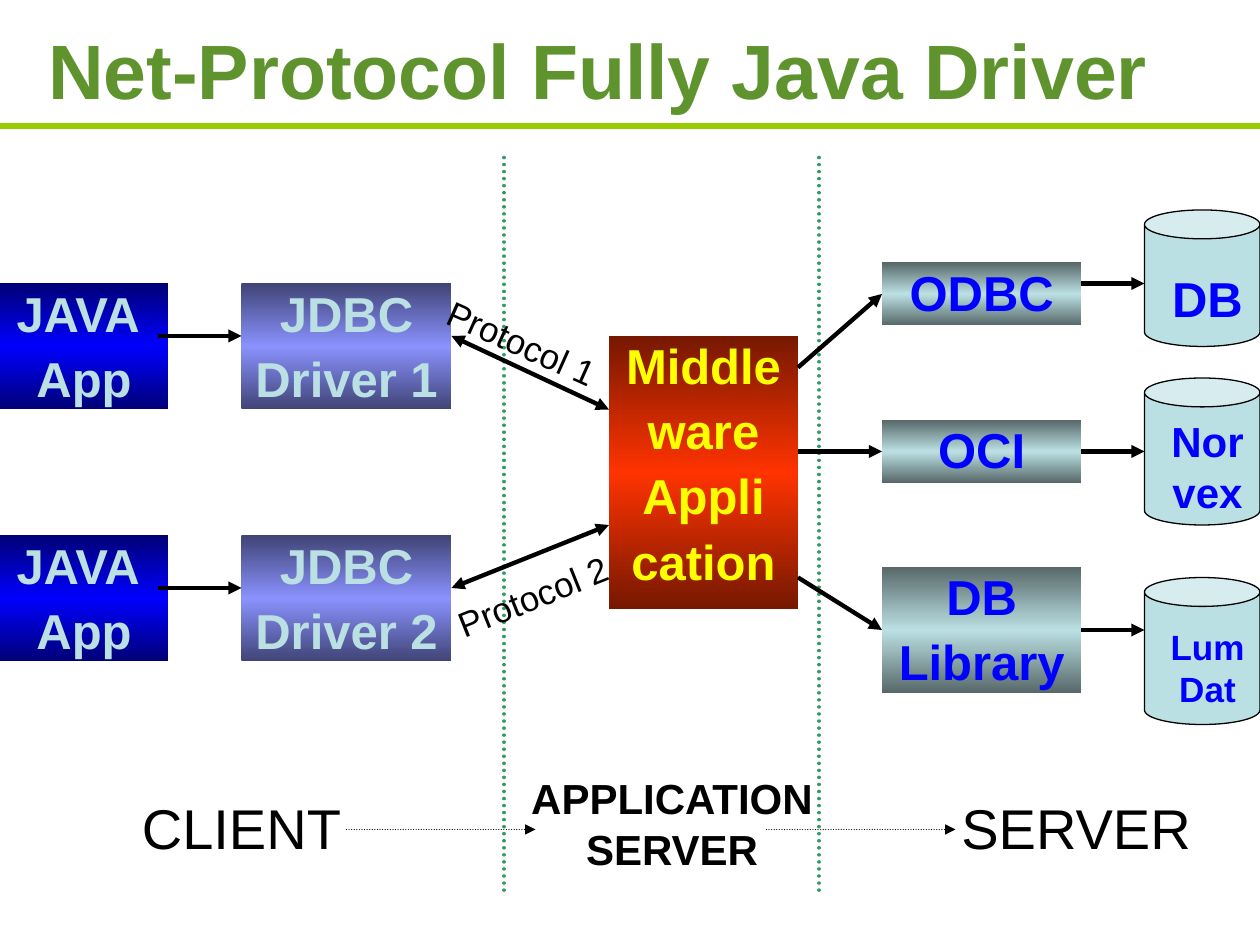
import copy

import pptx
import pptx.dml.color
import pptx.enum.dml
import pptx.enum.shapes
import pptx.enum.text
import pptx.oxml
import pptx.oxml.ns
import pptx.util

Pt = pptx.util.Pt
SHAPE = pptx.enum.shapes.MSO_SHAPE
ALIGN = pptx.enum.text.PP_ALIGN
ANCHOR = pptx.enum.text.MSO_ANCHOR
DOTTED = pptx.enum.dml.MSO_LINE.ROUND_DOT
COLORS = {
    "title": "5E932D", "rule": "99CC00", "divider": "339966", "black": "000000",
    "pale": "BBE0E3", "pale_edge": "576869", "blue": "0000FF", "blue_edge": "000076",
    "violet": "8A92FE", "violet_edge": "404476", "red": "FF3300", "red_edge": "761800",
    "yellow": "FFFF00",
}


def rgb(name):
    return pptx.dml.color.RGBColor.from_string(COLORS[name])


def write_text(shape, text, size=28, color="black", bold=True, align=ALIGN.CENTER,
               anchor=ANCHOR.TOP, line_spacing=None, space_before=0):
    frame = shape.text_frame
    frame.word_wrap = True
    frame.vertical_anchor = anchor
    frame.text = text
    for index, paragraph in enumerate(frame.paragraphs):
        paragraph.alignment = align
        if line_spacing:
            paragraph.line_spacing = line_spacing
        if index:
            paragraph.space_before = Pt(space_before)
        paragraph.font.name = "Arial"
        paragraph.font.size = Pt(size)
        paragraph.font.bold = bold
        paragraph.font.color.rgb = rgb(color)


presentation = pptx.Presentation()
presentation.slide_width, presentation.slide_height = Pt(720), Pt(540)
slide = presentation.slides.add_slide(presentation.slide_layouts[6])
shapes = slide.shapes

# Gradient boxes: text, left, top, width, height, fill, text colour
boxes = [
    ("Middle\nware\nAppli\ncation", 348, 192, 108, 156, "red", "yellow"),
    ("ODBC", 504, 150, 114, 36, "pale", "blue"),
    ("OCI", 504, 240, 114, 36, "pale", "blue"),
    ("DB\nLibrary", 504, 324, 114, 72, "pale", "blue"),
]
for number, top in enumerate((162, 306), start=1):
    boxes.append(("JAVA \nApp", 0, top, 96, 72, "blue", "pale"))
    boxes.append((f"JDBC\nDriver {number}", 138, top, 120, 72, "violet", "pale"))
for text, left, top, width, height, fill, color in boxes:
    box = shapes.add_shape(SHAPE.RECTANGLE, Pt(left), Pt(top), Pt(width), Pt(height))
    box.shadow.inherit = False
    box.line.fill.background()
    box.fill.gradient()
    box.fill.gradient_angle = 90
    stop_list = next(box._element.iter(pptx.oxml.ns.qn("a:gsLst")))
    stop_list.append(copy.deepcopy(stop_list[0]))
    for position, stop in zip((0, 0.5, 1), box.fill.gradient_stops):
        stop.position = position
        stop.color.rgb = rgb(fill if position == 0.5 else fill + "_edge")
    write_text(box, text, color=color, line_spacing=0.9, space_before=7)

# Database cylinders
for top, height in ((120, 78), (216, 84), (330, 84)):
    cylinder = shapes.add_shape(SHAPE.CAN, Pt(654), Pt(top), Pt(66), Pt(height))
    cylinder.shadow.inherit = False
    cylinder.fill.solid()
    cylinder.fill.fore_color.rgb = rgb("pale")
    cylinder.line.color.rgb = rgb("black")
    cylinder.line.width = Pt(0.75)

# Lines: start, end, colour, width, dash, arrowheads
lines = [((0, 72), (720, 72), "rule", 3, None, ())]
for x in (288, 468):
    lines.append(((x, 90), (x, 510), "divider", 2, DOTTED, ()))
for y, middleware_y in ((192, 234), (336, 300)):
    lines.append(((90, y), (138, y), "black", 2.5, None, ("tailEnd",)))
    lines.append(((258, y), (348, middleware_y), "black", 2.5, None, ("headEnd", "tailEnd")))
for start_y, library_y, database_y in ((210, 168, 162), (258, 258, 258), (330, 360, 360)):
    lines.append(((456, start_y), (504, library_y), "black", 2.5, None, ("tailEnd",)))
    lines.append(((618, database_y), (654, database_y), "black", 2.5, None, ("tailEnd",)))
for x in (198, 438):
    lines.append(((x, 474), (x + 108, 474), "black", 0.75, DOTTED, ("tailEnd",)))
for start, end, color, width, dash, arrowheads in lines:
    connector = shapes.add_connector(
        pptx.enum.shapes.MSO_CONNECTOR.STRAIGHT, *map(Pt, start + end))
    connector.line.color.rgb = rgb(color)
    connector.line.width = Pt(width)
    properties = connector._element.spPr
    outline = properties.find(pptx.oxml.ns.qn("a:ln"))
    if dash:
        connector.line.dash_style = dash
        outline.set("cap", "rnd")
    for arrowhead in arrowheads:
        outline.append(pptx.oxml.parse_xml(
            f'<a:{arrowhead} {pptx.oxml.ns.nsdecls("a")} type="triangle"/>'))
    properties.append(pptx.oxml.parse_xml(
        f'<a:effectLst {pptx.oxml.ns.nsdecls("a")}/>'))

# Title and labels: text, left, top, width, height, rotation, format
plain = {"bold": False}
protocol = {"size": 20, "bold": False, "align": ALIGN.LEFT}
labels = [
    ("Net-Protocol Fully Java Driver", 0, 0, 684, 78, 0,
     {"size": 44, "color": "title", "anchor": ANCHOR.MIDDLE}),
    ("DB", 660, 150, 60, 41, 0, {"color": "blue"}),
    ("Norvex", 660, 234, 60, 65, 0, {"size": 24, "color": "blue"}),
    ("Lum Dat", 660, 354, 60, 55, 0, {"size": 20, "color": "blue"}),
    ("CLIENT", 72, 450, 132, 46, 0, {"size": 32, **plain}),
    ("SERVER", 540, 450, 150, 46, 0, {"size": 32, **plain}),
    ("APPLICATION SERVER", 288, 438, 192, 65, 0, {"size": 24}),
    ("Protocol 1", 245.5, 182, 113, 32, 24.1, protocol),
    ("Protocol 2", 252, 324, 109.5, 32, 338.1, protocol),
]
for text, left, top, width, height, rotation, text_format in labels:
    label = shapes.add_textbox(Pt(left), Pt(top), Pt(width), Pt(height))
    label.rotation = rotation
    write_text(label, text, **text_format)

presentation.save("out.pptx")
